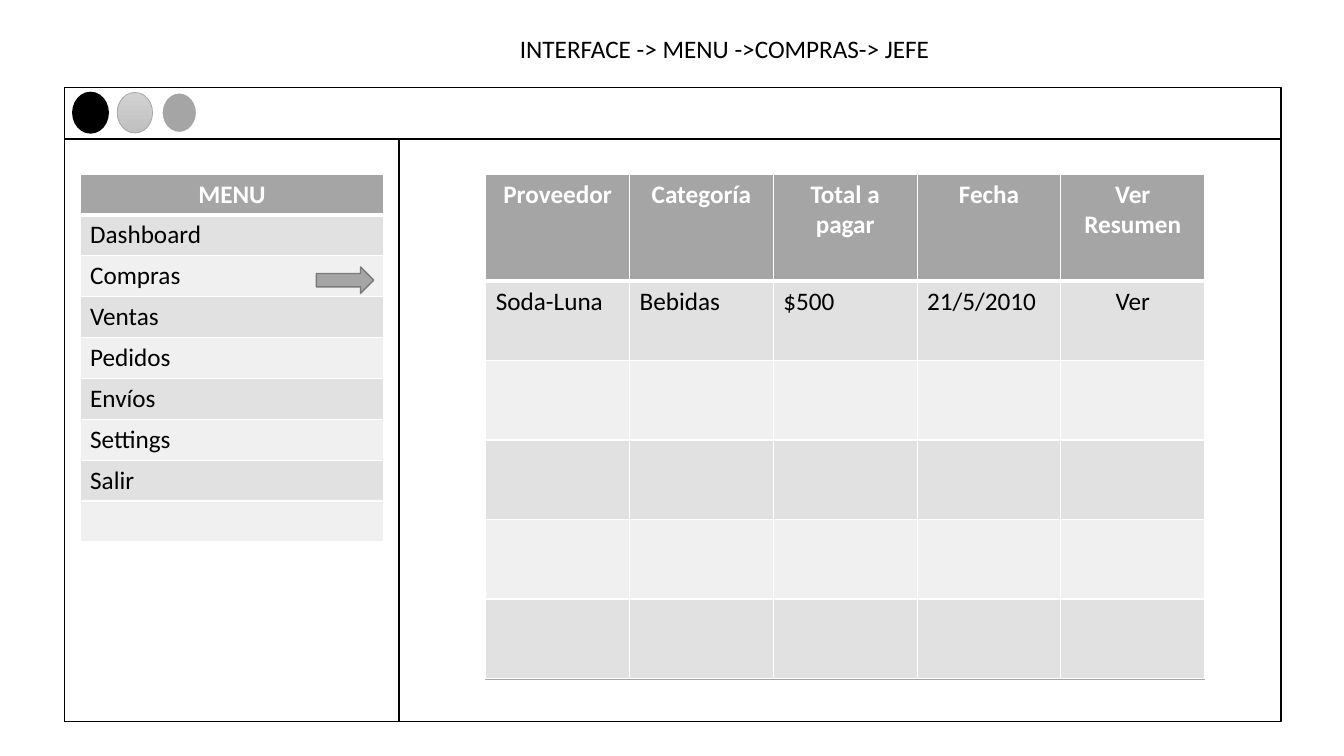
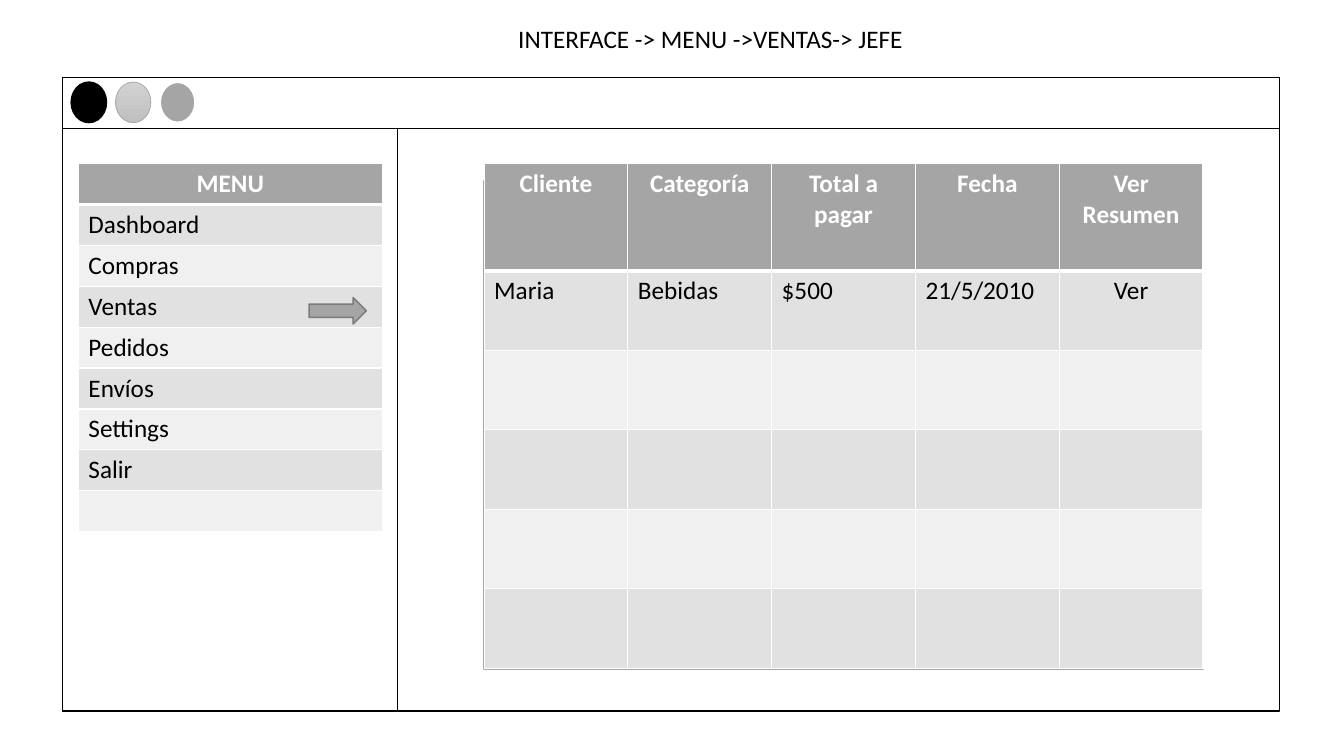
from lxml.etree import SubElement
from pptx import Presentation
from pptx.dml.color import RGBColor
from pptx.enum.shapes import MSO_SHAPE
from pptx.enum.text import PP_ALIGN
from pptx.oxml.ns import qn
from pptx.util import Pt

HUES = {
    "black": "000000", "white": "FFFFFF", "gray": "A5A5A5", "edge": "7A7A7A",
    "odd": "E1E1E1", "even": "F0F0F0", "light": "D2D2D2", "dim": "C0C0C0",
}
FONT, SIZE = "Calibri", 18
WIDE, BAR, TALL = 869, 36.7, 452.7
SIDE = 239
TOP = 61.6
ROW = 29.2
MENU = ["MENU", "Dashboard", "Compras", "Ventas", "Pedidos", "Envíos",
        "Settings", "Salir", ""]
HEADS = ["Categoría", "Total a pagar", "Fecha", "Ver Resumen"]
VALUES = ["Bebidas", "$500", "21/5/2010", "Ver"]
BLANKS = 4


def rgb(name):
    return RGBColor.from_string(HUES[name])


def style(para, color="black", bold=False, center=False):
    font = para.font
    font.name, font.size, font.bold = FONT, Pt(SIZE), bold
    font.color.rgb = rgb(color)
    para.alignment = PP_ALIGN.CENTER if center else PP_ALIGN.LEFT


def add_box(slide, kind, box, fill="white", line="black", weight=1):
    shape = slide.shapes.add_shape(kind, *map(Pt, box))
    shape.shadow.inherit = False
    if isinstance(fill, tuple):
        shape.fill.gradient()
        shape.fill.gradient_angle = 270
        for stop, name in zip(shape.fill.gradient_stops, fill):
            stop.color.rgb = rgb(name)
    else:
        shape.fill.solid()
        shape.fill.fore_color.rgb = rgb(fill)
    shape.line.color.rgb = rgb(line)
    shape.line.width = Pt(weight)


def add_edges(cell, top, bottom):
    """Draw white cell borders; they must precede the cell's fill."""
    props = cell._tc.get_or_add_tcPr()
    for side, weight in (("L", 1), ("R", 1), ("T", top), ("B", bottom)):
        edge = SubElement(props, qn(f"a:ln{side}"), w=str(Pt(weight)))
        fill = SubElement(edge, qn("a:solidFill"))
        SubElement(fill, qn("a:srgbClr"), val=HUES["white"])


def add_grid(slide, left, top, width, heights, rows, mid=()):
    """Add a banded table; body columns listed in mid are centred."""
    count = len(rows[0])
    table = slide.shapes.add_table(
        len(rows), count, Pt(left), Pt(top), Pt(width), Pt(sum(heights))).table
    for col in table.columns:
        col.width = Pt(width / count)
    for r, (row, height) in enumerate(zip(rows, heights)):
        table.rows[r].height = Pt(height)
        head = r == 0
        for c, text in enumerate(row):
            cell = table.cell(r, c)
            cell.text = text
            style(cell.text_frame.paragraphs[0],
                  "white" if head else "black", head, head or c in mid)
            add_edges(cell, 3 if r == 1 else 1, 3 if head else 1)
            cell.fill.solid()
            cell.fill.fore_color.rgb = rgb(
                "gray" if head else "odd" if r % 2 else "even")


def add_title(slide, left, top, width, text):
    box = slide.shapes.add_textbox(Pt(left), Pt(top), Pt(width), Pt(ROW))
    box.text_frame.word_wrap = True
    para = box.text_frame.paragraphs[0]
    para.text = text
    style(para)


def add_window(slide, x, y):
    rect = MSO_SHAPE.RECTANGLE
    add_box(slide, rect, (x, y + 2.9, WIDE, TALL - 2.9))
    add_box(slide, rect, (x, y, WIDE, BAR))
    dots = [("black", "black", 1), (("light", "dim"), "gray", 0.5),
            ("gray", "white", 1.5)]
    for i, look in enumerate(dots):
        add_box(slide, MSO_SHAPE.FLOWCHART_CONNECTOR,
                (x + 6 + 31.7 * i, y + 3.3, 25.3, 29), *look)
    add_box(slide, rect, (x, y + BAR, SIDE, TALL - BAR))


def add_menu(slide, x, y, item, shift):
    """Add the side menu and the arrow on its chosen item."""
    add_grid(slide, x + 11.2, y + TOP, 217, [ROW] * len(MENU),
             [[name] for name in MENU])
    row = y + TOP + ROW * MENU.index(item)
    add_box(slide, MSO_SHAPE.RIGHT_ARROW, (x + shift, row + 8, 41, 19),
            "gray", "edge")


def add_list(slide, x, y, party, name):
    left, width = x + 301, 513.5
    heights = [76.5] + [56.8] * (1 + BLANKS)
    rows = [[party, *HEADS], [name, *VALUES]]
    rows += [[""] * len(rows[0])] * BLANKS
    add_box(slide, MSO_SHAPE.RECTANGLE, (left, y + 74, width, 348.5),
            line="gray")
    add_grid(slide, left, y + TOP, width, heights, rows, mid=(4,))


def main():
    deck = Presentation()
    deck.slide_width, deck.slide_height = Pt(960), Pt(540)
    pages = [
        (46, 62.7, "Compras", 180, 310, "Proveedor", "Soda-Luna"),
        (44.8, 55.3, "Ventas", 176, 292, "Cliente", "Maria"),
    ]
    for x, y, item, shift, width, party, name in pages:
        slide = deck.slides.add_slide(deck.slide_layouts[6])
        add_window(slide, x, y)
        add_title(slide, x + 318.3, y - 42.4, width,
                  f"INTERFACE -> MENU ->{item.upper()}-> JEFE")
        add_menu(slide, x, y, item, shift)
        add_list(slide, x, y, party, name)
    deck.save("out.pptx")


if __name__ == "__main__":
    main()
